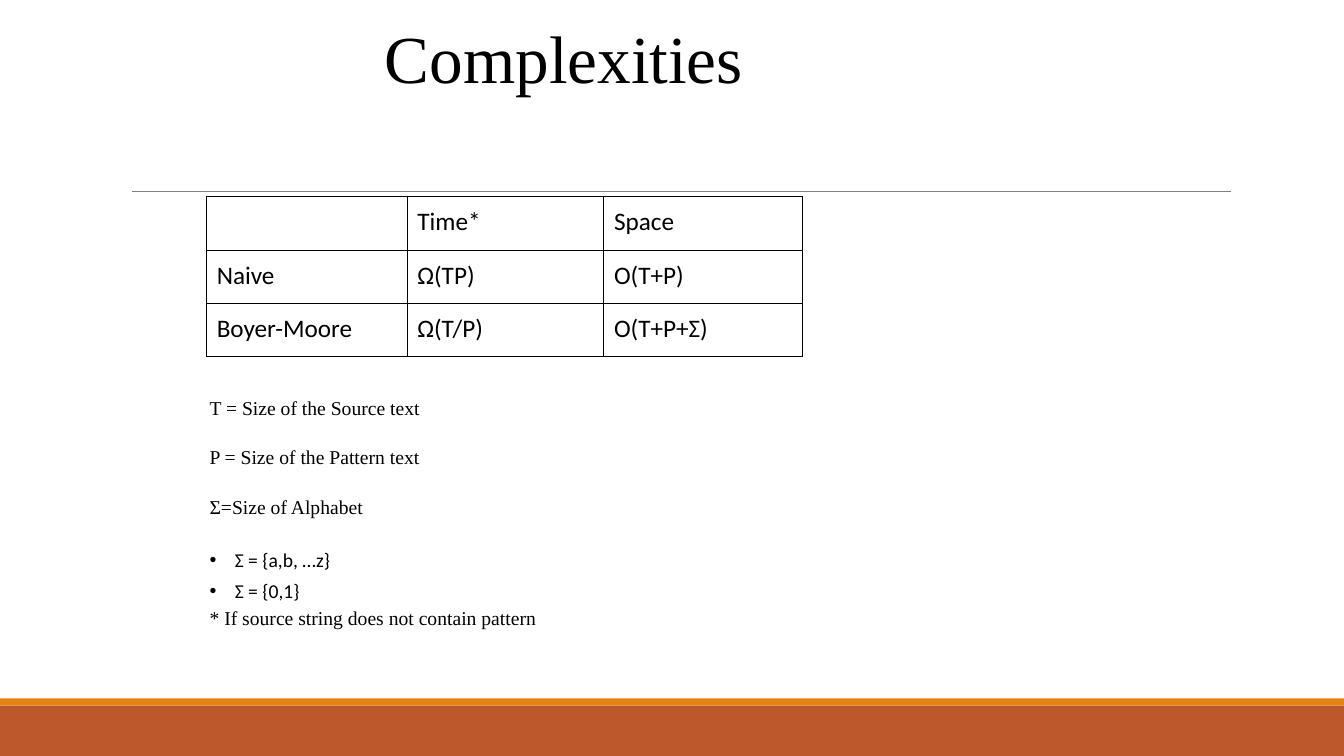
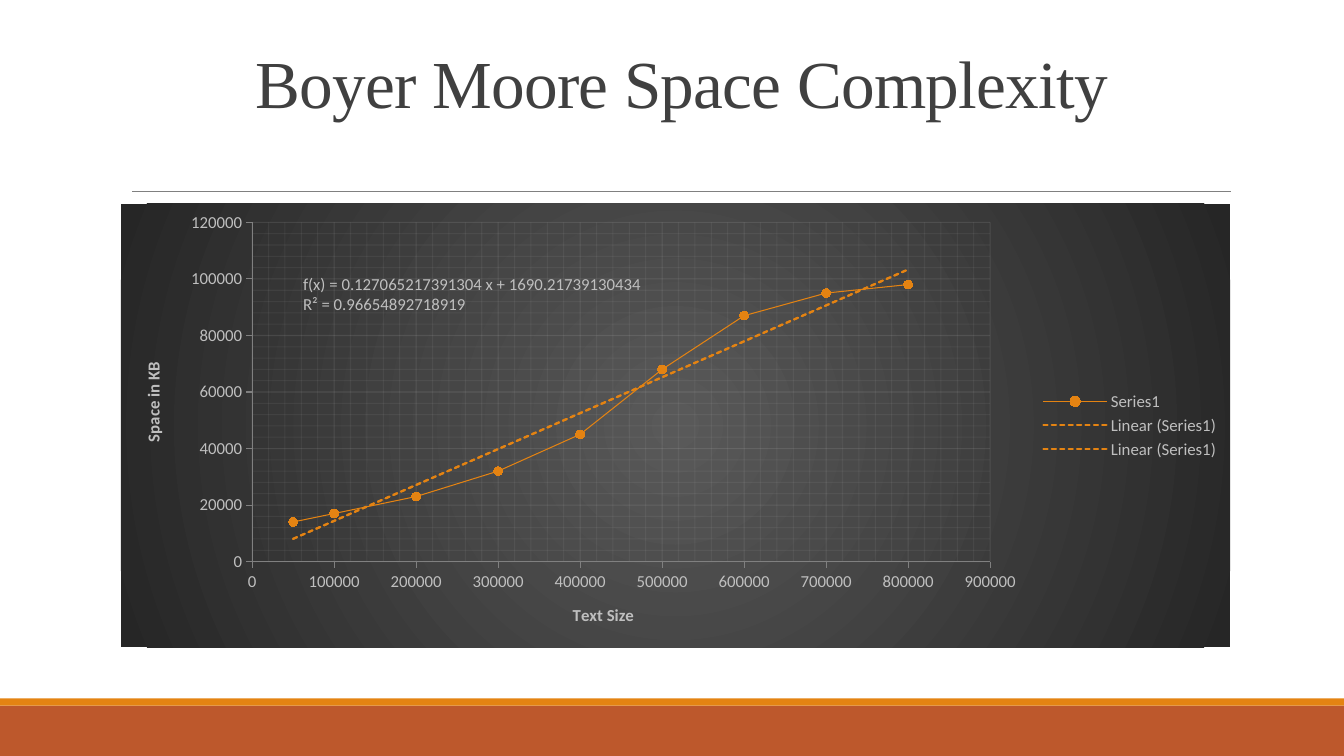
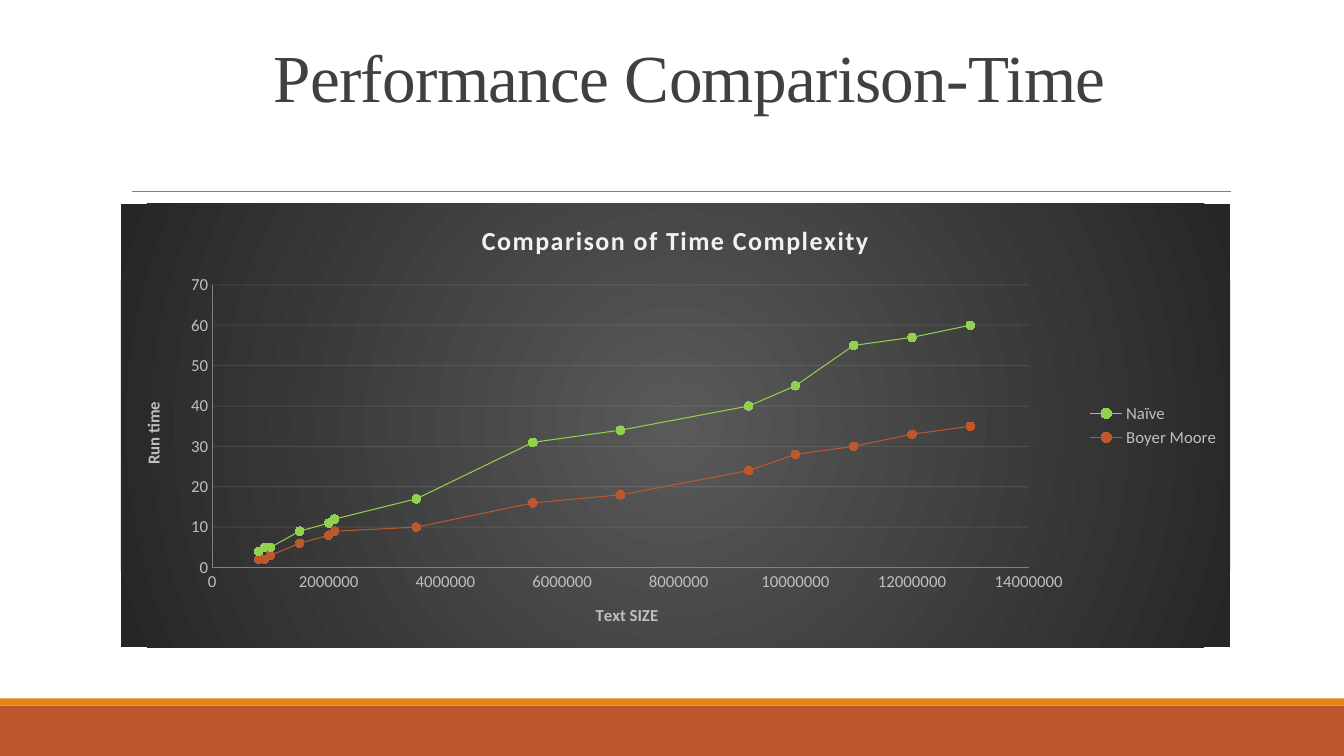
import dataclasses
import typing

import pptx
import pptx.chart.data
import pptx.dml.color
import pptx.enum.chart
import pptx.enum.shapes
import pptx.enum.text
import pptx.oxml
import pptx.oxml.ns
import pptx.util

Inches = pptx.util.Inches
Pt = pptx.util.Pt

SERIF = "Times New Roman"
SANS = "Calibri"
BLACK = "000000"
TITLE_GREY = "404040"
RULE_GREY = "808080"
LABEL_GREY = "BFBFBF"
PALE = "F2F2F2"
RUST = "BD582C"
ORANGE = "E48312"
GREEN = "92D050"
NAMESPACES = pptx.oxml.ns.nsdecls("a", "c")


@dataclasses.dataclass
class Frame:
    left: float
    top: float
    width: float
    height: float

    def lengths(self) -> list[int]:
        return [Inches(side) for side in dataclasses.astuple(self)]


@dataclasses.dataclass
class Band:
    frame: Frame
    color: str


@dataclasses.dataclass
class Note:
    text: str
    bullet: bool = False


@dataclasses.dataclass
class Curve:
    name: str
    values: list[int]
    color: str
    marker_color: str


@dataclasses.dataclass
class AxisStyle:
    title: str
    maximum: int
    step: int
    gridlines: bool = True
    minor_gridlines: bool = False
    ticks: bool = False
    vertical: bool = False


@dataclasses.dataclass
class ScatterChart:
    sizes: list[int]
    curves: list[Curve]
    horizontal: AxisStyle
    vertical: AxisStyle
    title: str = ""


BANDS = [
    Band(Frame(0, 7, 13.33, 0.5), RUST),
    Band(Frame(0, 6.93, 13.33, 0.07), ORANGE),
]
CHART_FRAME = Frame(1.2, 2.02, 11, 4.4)

COMPLEXITIES = [
    ["", "Time*", "Space"],
    ["Naive", "Ω(TP)", "O(T+P)"],
    ["Boyer-Moore", "Ω(T/P)", "O(T+P+Σ)"],
]
NOTES = [
    Note("T = Size of the Source text"),
    Note("P = Size of the Pattern text"),
    Note("Σ=Size of Alphabet"),
    Note("Σ = {a,b, …z}", bullet=True),
    Note("Σ = {0,1}", bullet=True),
    Note("* If source string does not contain pattern"),
]
SPACE_CHART = ScatterChart(
    sizes=[50000] + list(range(100000, 900000, 100000)),
    curves=[
        Curve(
            "Series1",
            [14000, 17000, 23000, 32000, 45000, 68000, 87000, 95000, 98000],
            ORANGE,
            "EB7E00",
        )
    ],
    horizontal=AxisStyle("Text Size", 900000, 100000, minor_gridlines=True, ticks=True),
    vertical=AxisStyle(
        "Space in KB", 120000, 20000, minor_gridlines=True, ticks=True, vertical=True
    ),
)
TIME_CHART = ScatterChart(
    sizes=[
        800000, 900000, 1000000, 1500000, 2000000, 2100000, 3500000,
        5500000, 7000000, 9200000, 10000000, 11000000, 12000000, 13000000,
    ],
    curves=[
        Curve("Naïve", [4, 5, 5, 9, 11, 12, 17, 31, 34, 40, 45, 55, 57, 60], GREEN, GREEN),
        Curve("Boyer Moore", [2, 2, 3, 6, 8, 9, 10, 16, 18, 24, 28, 30, 33, 35], RUST, "C94C15"),
    ],
    horizontal=AxisStyle("Text SIZE", 14000000, 2000000, gridlines=False),
    vertical=AxisStyle("Run time", 70, 10, vertical=True),
    title="Comparison of Time Complexity",
)


def rgb(color: str) -> pptx.dml.color.RGBColor:
    return pptx.dml.color.RGBColor.from_string(color)


def xml(markup: str) -> typing.Any:
    return pptx.oxml.parse_xml(markup)


def style_font(
    font: typing.Any, size: float, color: str, name: str = SANS, bold: bool = False
) -> None:
    font.size = Pt(size)
    font.name = name
    font.bold = bold
    font.color.rgb = rgb(color)


def style_line(line: typing.Any, color: str, width: float) -> None:
    line.color.rgb = rgb(color)
    line.width = Pt(width)


def add_page(deck: typing.Any) -> typing.Any:
    page = deck.slides.add_slide(deck.slide_layouts[6])
    for band in BANDS:
        shape = page.shapes.add_shape(
            pptx.enum.shapes.MSO_SHAPE.RECTANGLE, *band.frame.lengths()
        )
        shape.shadow.inherit = False
        shape.fill.solid()
        shape.fill.fore_color.rgb = rgb(band.color)
        shape.line.fill.background()
    rule = page.shapes.add_connector(
        pptx.enum.shapes.MSO_CONNECTOR.STRAIGHT,
        Inches(1.31), Inches(1.9), Inches(12.21), Inches(1.9),
    )
    style_line(rule.line, RULE_GREY, 0.5)
    rule.element.spPr.append(xml(f"<a:effectLst {NAMESPACES}/>"))
    return page


def add_text_box(page: typing.Any, frame: Frame, inset: float) -> typing.Any:
    box = page.shapes.add_textbox(*frame.lengths())
    text_frame = box.text_frame
    text_frame.word_wrap = True
    text_frame.margin_left = text_frame.margin_right = Inches(0.1)
    text_frame.margin_top = text_frame.margin_bottom = Inches(inset)
    return text_frame


def set_tracking(span: typing.Any, points: float) -> None:
    span._r.get_or_add_rPr().set("spc", str(round(points * 100)))


def add_title(
    page: typing.Any,
    text: str,
    frame: Frame,
    color: str = TITLE_GREY,
    inset: float = 0.05,
    line_spacing: float = 0.85,
    tracking: float = -0.5,
    anchor: typing.Any = pptx.enum.text.MSO_ANCHOR.BOTTOM,
) -> None:
    text_frame = add_text_box(page, frame, inset)
    text_frame.vertical_anchor = anchor
    para = text_frame.paragraphs[0]
    para.text = text
    para.alignment = pptx.enum.text.PP_ALIGN.CENTER
    para.line_spacing = line_spacing
    span = para.runs[0]
    style_font(span.font, 48, color, SERIF)
    set_tracking(span, tracking)


def add_complexity_table(page: typing.Any) -> None:
    frame = Frame(2.05, 1.95, 5.91, 1.58)
    table = page.shapes.add_table(3, 3, *frame.lengths()).table
    table.first_row = False
    table.horz_banding = False
    for column, width in zip(table.columns, (1.99, 1.95, 1.97)):
        column.width = Inches(width)
    for row, texts in zip(table.rows, COMPLEXITIES):
        row.height = Inches(0.53)
        for cell, text in zip(row.cells, texts):
            cell.margin_left = cell.margin_right = Inches(0.1)
            cell.margin_top = cell.margin_bottom = Inches(0.1)
            para = cell.text_frame.paragraphs[0]
            para.text = text
            for span in para.runs:
                style_font(span.font, 18, BLACK)
            properties = cell._tc.get_or_add_tcPr()
            for side in "LRTB":
                properties.append(xml(
                    f'<a:ln{side} {NAMESPACES} w="{Pt(0.75)}"><a:solidFill>'
                    f'<a:srgbClr val="{BLACK}"/></a:solidFill></a:ln{side}>'
                ))
            cell.fill.background()


def add_notes(page: typing.Any) -> None:
    text_frame = add_text_box(page, Frame(1.98, 3.79, 9.32, 2.71), 0.1)
    text_frame.text = "\n".join(note.text for note in NOTES)
    for para, note in zip(text_frame.paragraphs, NOTES):
        if note.bullet:
            para.line_spacing = 0.9
            para.space_before = Pt(7)
            properties = para._p.get_or_add_pPr()
            properties.set("marL", str(Inches(0.25)))
            properties.set("indent", str(Inches(-0.25)))
            properties.append(xml(f'<a:buFont {NAMESPACES} typeface="Arial"/>'))
            properties.append(xml(f'<a:buChar {NAMESPACES} char="•"/>'))
        else:
            para.line_spacing = 1.15
            para.space_after = Pt(16)
        style_font(para.runs[0].font, 14, BLACK, SANS if note.bullet else SERIF)


def style_axis(axis: typing.Any, style: AxisStyle) -> None:
    axis.minimum_scale = 0
    axis.maximum_scale = style.maximum
    axis.major_unit = style.step
    tick_mark = pptx.enum.chart.XL_TICK_MARK
    axis.major_tick_mark = tick_mark.OUTSIDE if style.ticks else tick_mark.NONE
    axis.minor_tick_mark = tick_mark.NONE
    axis.tick_labels.number_format = "General"
    axis.tick_labels.number_format_is_linked = False
    style_font(axis.tick_labels.font, 12, LABEL_GREY)
    style_line(axis.format.line, RULE_GREY, 0.75)
    axis.has_major_gridlines = style.gridlines
    axis.has_minor_gridlines = style.minor_gridlines
    text_frame = axis.axis_title.text_frame
    text_frame.text = style.title
    style_font(text_frame.paragraphs[0].runs[0].font, 12, LABEL_GREY, bold=True)
    if style.vertical:
        text_frame._txBody.bodyPr.set("rot", "-5400000")
        text_frame._txBody.bodyPr.set("vert", "horz")


def style_gridlines(chart: typing.Any) -> None:
    for kind, opacity in (("major", 10), ("minor", 5)):
        for gridlines in chart.element.xpath(f".//c:{kind}Gridlines"):
            gridlines.append(xml(
                f'<c:spPr {NAMESPACES}><a:ln w="{Pt(0.75)}"><a:solidFill>'
                f'<a:srgbClr val="{PALE}"><a:alpha val="{opacity * 1000}"/></a:srgbClr>'
                '</a:solidFill></a:ln></c:spPr>'
            ))


def shade_background(chart: typing.Any) -> None:
    chart.element.xpath("./c:chart")[0].addnext(xml(
        f'<c:spPr {NAMESPACES}><a:gradFill><a:gsLst>'
        '<a:gs pos="0"><a:srgbClr val="595959"/></a:gs>'
        '<a:gs pos="100000"><a:srgbClr val="262626"/></a:gs></a:gsLst>'
        '<a:path path="circle"><a:fillToRect l="50000" t="50000" r="50000" b="50000"/>'
        '</a:path></a:gradFill><a:ln><a:noFill/></a:ln></c:spPr>'
    ))


def add_trend_line(chart: typing.Any, color: str, equation: bool) -> None:
    label = (
        '<c:trendlineLbl><c:layout><c:manualLayout><c:xMode val="edge"/>'
        '<c:yMode val="edge"/><c:x val="0.16"/><c:y val="0.16"/></c:manualLayout></c:layout>'
        '<c:numFmt formatCode="General" sourceLinked="0"/><c:txPr><a:bodyPr/><a:p><a:pPr>'
        f'<a:defRPr sz="1200"><a:solidFill><a:srgbClr val="{LABEL_GREY}"/></a:solidFill>'
        f'<a:latin typeface="{SANS}"/></a:defRPr></a:pPr></a:p></c:txPr></c:trendlineLbl>'
    )
    chart.element.xpath(".//c:ser/c:xVal")[0].addprevious(xml(
        f'<c:trendline {NAMESPACES}><c:spPr><a:ln w="{Pt(1.5)}" cap="rnd"><a:solidFill>'
        f'<a:srgbClr val="{color}"/></a:solidFill><a:prstDash val="sysDash"/></a:ln></c:spPr>'
        f'<c:trendlineType val="linear"/><c:dispRSqr val="{int(equation)}"/>'
        f'<c:dispEq val="{int(equation)}"/>{label if equation else ""}</c:trendline>'
    ))


def add_scatter_chart(page: typing.Any, content: ScatterChart) -> typing.Any:
    data = pptx.chart.data.XyChartData()
    for curve in content.curves:
        points = data.add_series(curve.name)
        for size, value in zip(content.sizes, curve.values):
            points.add_data_point(size, value)
    chart = page.shapes.add_chart(
        pptx.enum.chart.XL_CHART_TYPE.XY_SCATTER_LINES, *CHART_FRAME.lengths(), data
    ).chart
    style_font(chart.font, 10, BLACK)
    chart.has_title = bool(content.title)
    if content.title:
        text_frame = chart.chart_title.text_frame
        text_frame.text = content.title
        span = text_frame.paragraphs[0].runs[0]
        style_font(span.font, 18.6, PALE, bold=True)
        set_tracking(span, 1)
    chart.has_legend = True
    chart.legend.position = pptx.enum.chart.XL_LEGEND_POSITION.RIGHT
    chart.legend.include_in_layout = False
    style_font(chart.legend.font, 12, LABEL_GREY)
    style_axis(chart.category_axis, content.horizontal)
    style_axis(chart.value_axis, content.vertical)
    plot = chart.plots[0]
    plot.vary_by_categories = False
    for series, curve in zip(plot.series, content.curves):
        series.smooth = False
        style_line(series.format.line, curve.color, 0.75)
        series.marker.style = pptx.enum.chart.XL_MARKER_STYLE.CIRCLE
        series.marker.size = 6
        series.marker.format.fill.solid()
        series.marker.format.fill.fore_color.rgb = rgb(curve.marker_color)
        style_line(series.marker.format.line, curve.color, 0.75)
    style_gridlines(chart)
    shade_background(chart)
    return chart


def main() -> None:
    deck = pptx.Presentation()
    deck.slide_width = Inches(13.33)
    deck.slide_height = Inches(7.5)

    page = add_page(deck)
    add_title(
        page, "Complexities", Frame(0.34, 0.15, 10.51, 1.54), color=BLACK, inset=0.1,
        line_spacing=0.9, tracking=0, anchor=pptx.enum.text.MSO_ANCHOR.TOP,
    )
    add_complexity_table(page)
    add_notes(page)

    page = add_page(deck)
    add_title(page, "Boyer Moore Space Complexity", Frame(1.33, 0.31, 10.87, 0.95))
    chart = add_scatter_chart(page, SPACE_CHART)
    for equation in (False, True):
        add_trend_line(chart, ORANGE, equation)

    page = add_page(deck)
    add_title(page, "Performance Comparison-Time", Frame(1.48, 0.31, 10.72, 0.89))
    add_scatter_chart(page, TIME_CHART)

    deck.save("out.pptx")


if __name__ == "__main__":
    main()
